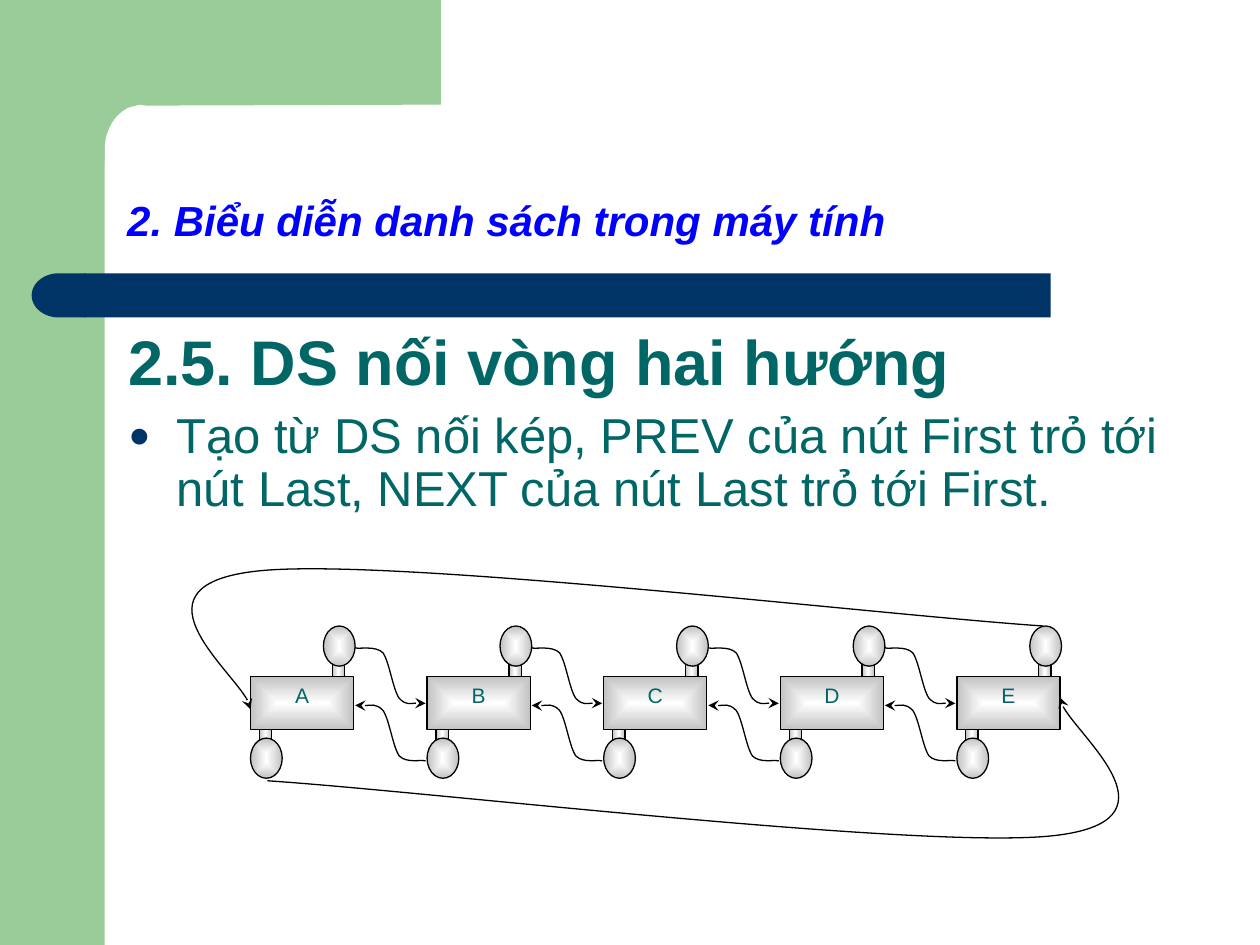
from lxml.etree import SubElement
from pptx import Presentation
from pptx.dml.color import RGBColor
from pptx.enum.shapes import MSO_SHAPE as Preset
from pptx.enum.text import MSO_ANCHOR as Anchor, MSO_AUTO_SIZE as AutoSize, PP_ALIGN as Align
from pptx.oxml import parse_xml
from pptx.oxml.ns import nsdecls, qn
from pptx.util import Cm, Pt

GREEN = RGBColor(0x99, 0xCC, 0x99)
NAVY = RGBColor(0x00, 0x33, 0x66)
BLUE = RGBColor(0x00, 0x00, 0xFF)
TEAL = RGBColor(0x00, 0x66, 0x66)
BLACK = RGBColor(0x00, 0x00, 0x00)
WHITE = RGBColor(0xFF, 0xFF, 0xFF)
SILVER = RGBColor(0xC2, 0xC2, 0xC2)

# Gradients: stops in percent, then the direction
CENTRE_GLOW = ([(0, WHITE), (100, SILVER)],
               '<a:path path="rect"><a:fillToRect l="50000" t="50000" r="50000" b="50000"/></a:path>')
TUBE_GLOW = ([(0, SILVER), (50, WHITE), (100, SILVER)], '<a:lin ang="0" scaled="1"/>')

# Linked list, in centimetres
NODES = "ABCDE"
FIRST_LEFT, PITCH = 5.05, 3.56
NODE_TOP, NODE_WIDTH, NODE_HEIGHT = 13.64, 2.08, 1.07
NODE_BOTTOM = NODE_TOP + NODE_HEIGHT
STEM_WIDTH, STEM_HEIGHT, STEM_INSET = 0.25, 0.33, 0.18
BALL_WIDTH, BALL_HEIGHT, BALL_OVERHANG = 0.64, 0.81, 0.03
NEXT_BALL_TOP, PREV_BALL_TOP = 12.62, 14.88
LINK_GAP, NEXT_LINK_TOP, PREV_LINK_TOP = 0.03, 13.06, 14.22

# Outlines: a start, then segments of one point (line) or three (Bézier curve)
LINK = [[(0.08, 0.03), (0.41, -0.05), (0.56, 0.1)],
        [(0.69, 0.28), (0.76, 0.84), (0.89, 1.02)],
        [(1.04, 1.17), (1.32, 1.09), (1.42, 1.12)]]
LOOP_START = (5.05, 14.3)
LOOP = [[(5.08, 13.84), (2.54, 11.79), (5.21, 11.51)],
        [(7.87, 11.23), (17.73, 12.4), (21.03, 12.62)]]
LOOP_CENTRE = (13.21, 14.18)
CORNER_START = (8.89, 0)
CORNER = [[(8.89, 2.11)], [(2.95, 2.13)], [(2.82, 2.11)], [(2.62, 2.16)],
          [(2.54, 2.18), (2.44, 2.26), (2.36, 2.34)],
          [(2.29, 2.41), (2.21, 2.54), (2.18, 2.64)],
          [(2.13, 2.74), (2.13, 2.84), (2.11, 2.95)],
          [(2.11, 3.25)], [(1.27, 3.25)], [(1.27, 0)]]


def fill_plain(part, color):
    part.shadow.inherit = False
    part.fill.solid()
    part.fill.fore_color.rgb = color
    part.line.fill.background()


def draw_line(part):
    part.line.color.rgb = BLACK
    part.line.width = Pt(0.75)


def add_plain(slide, preset, left, top, width, height, color):
    part = slide.shapes.add_shape(preset, Cm(left), Cm(top), Cm(width), Cm(height))
    fill_plain(part, color)
    return part


def add_glowing(slide, preset, left, top, width, height, glow):
    """Add an outlined shape with a gradient fill."""
    part = add_plain(slide, preset, left, top, width, height, SILVER)
    stops, direction = glow
    stop_xml = "".join(f'<a:gs pos="{percent * 1000}"><a:srgbClr val="{color}"/></a:gs>'
                       for percent, color in stops)
    gradient = parse_xml(f'<a:gradFill {nsdecls("a")} rotWithShape="1">'
                         f'<a:gsLst>{stop_xml}</a:gsLst>{direction}</a:gradFill>')
    properties = part._element.spPr
    properties.replace(properties.find(qn("a:solidFill")), gradient)
    draw_line(part)
    return part


def add_outline(slide, start, segments, close=False):
    """Add a freeform, turning its three-point segments into Bézier curves."""
    builder = slide.shapes.build_freeform(Cm(start[0]), Cm(start[1]))
    builder.add_line_segments([(Cm(x), Cm(y)) for segment in segments for x, y in segment],
                              close=close)
    outline = builder.convert_to_shape()
    steps = iter(list(outline._element.iter(qn("a:lnTo"))))
    for segment in segments:
        lines = [next(steps) for _ in segment]
        if len(lines) == 3:
            curve = parse_xml(f'<a:cubicBezTo {nsdecls("a")}/>')
            lines[0].addprevious(curve)
            for line in lines:
                curve.append(line.find(qn("a:pt")))
                line.getparent().remove(line)
    return outline


def add_arrow(slide, start, segments, arrow_end):
    """Add a curved arrow; arrow_end is headEnd (start) or tailEnd (finish)."""
    arrow = add_outline(slide, start, segments)
    arrow.shadow.inherit = False
    arrow.fill.background()
    draw_line(arrow)
    outline_xml = arrow._element.spPr.find(qn("a:ln"))
    SubElement(outline_xml, qn(f"a:{arrow_end}"), type="stealth")


def format_text(paragraph, size, color, bold=False, italic=False):
    for run in paragraph.runs:
        font = run.font
        font.name, font.size, font.bold, font.italic = "Arial", Pt(size), bold, italic
        font.color.rgb = color


def add_bullet(paragraph, indent):
    properties = paragraph._p.get_or_add_pPr()
    properties.set("marL", str(Cm(indent)))
    properties.set("indent", str(-Cm(indent)))
    bullet_color = SubElement(properties, qn("a:buClr"))
    SubElement(bullet_color, qn("a:srgbClr"), val=str(NAVY))
    SubElement(properties, qn("a:buSzPct"), val="75000")
    SubElement(properties, qn("a:buFont"), typeface="Arial")
    SubElement(properties, qn("a:buChar"), char="●")


def add_background(slide):
    # Green side panel with its rounded inner corner
    add_plain(slide, Preset.RECTANGLE, 0, 0, 2.11, 19.05, GREEN)
    corner = add_outline(slide, CORNER_START, CORNER, close=True)
    fill_plain(corner, GREEN)
    # Navy bar with a round left end
    add_plain(slide, Preset.RECTANGLE, 1.7, 5.51, 19.48, 0.89, NAVY)
    bar_end = add_plain(slide, Preset.FLOWCHART_DELAY, 0.64, 5.51, 1.09, 0.89, NAVY)
    bar_end._element.spPr.find(qn("a:xfrm")).set("flipH", "1")


def set_title(slide):
    title = slide.shapes.title
    title.left, title.top, title.width, title.height = Cm(2.31), Cm(2.31), Cm(21.62), Cm(2.77)
    frame = title.text_frame
    frame.text = "2. Biểu diễn danh sách trong máy tính"
    frame.vertical_anchor = Anchor.BOTTOM
    frame.auto_size = AutoSize.NONE
    heading = frame.paragraphs[0]
    heading.alignment = Align.LEFT
    heading.line_spacing = 0.9
    format_text(heading, 24, BLUE, bold=True, italic=True)


def add_body(slide):
    frame = slide.shapes.add_textbox(Cm(2.34), Cm(6.55), Cm(21.36), Cm(5.18)).text_frame
    frame.word_wrap = True
    section = frame.paragraphs[0]
    section.text = "2.5. DS nối vòng hai hướng"
    section.line_spacing = 0.9
    format_text(section, 36, TEAL, bold=True)

    explanation = frame.add_paragraph()
    explanation.text = ("Tạo từ DS nối kép, PREV của nút First trỏ tới nút Last, "
                        "NEXT của nút Last trỏ tới First.")
    add_bullet(explanation, 0.97)
    explanation.line_spacing = 0.9
    explanation.space_before = Pt(7)
    format_text(explanation, 28, TEAL)


def add_node(slide, left, letter):
    box = add_glowing(slide, Preset.RECTANGLE, left, NODE_TOP, NODE_WIDTH, NODE_HEIGHT, CENTRE_GLOW)
    frame = box.text_frame
    frame.text = letter
    frame.vertical_anchor = Anchor.TOP
    frame.paragraphs[0].alignment = Align.CENTER
    format_text(frame.paragraphs[0], 12, TEAL)

    # PREV pointer hangs below on the left, NEXT stands above on the right
    right = left + NODE_WIDTH
    stems = [(left + STEM_INSET, NODE_BOTTOM),
             (right - STEM_INSET - STEM_WIDTH, NODE_TOP - STEM_HEIGHT)]
    balls = [(left, PREV_BALL_TOP),
             (right + BALL_OVERHANG - BALL_WIDTH, NEXT_BALL_TOP)]
    for x, y in stems:
        add_glowing(slide, Preset.RECTANGLE, x, y, STEM_WIDTH, STEM_HEIGHT, TUBE_GLOW)
    for x, y in balls:
        add_glowing(slide, Preset.OVAL, x, y, BALL_WIDTH, BALL_HEIGHT, CENTRE_GLOW)


def add_links(slide, node_lefts):
    """Join each node to its right neighbour in both directions."""
    for top, arrow_end in ((NEXT_LINK_TOP, "tailEnd"), (PREV_LINK_TOP, "headEnd")):
        for left in node_lefts[:-1]:
            x = left + NODE_WIDTH + LINK_GAP
            link = [[(x + dx, top + dy) for dx, dy in segment] for segment in LINK]
            add_arrow(slide, (x, top), link, arrow_end)


def half_turn(point):
    return tuple(2 * centre - value for centre, value in zip(LOOP_CENTRE, point))


def add_loops(slide):
    """Join the last node to the first, and the first to the last by a half turn."""
    turned_loop = [[half_turn(point) for point in segment] for segment in LOOP]
    add_arrow(slide, LOOP_START, LOOP, "headEnd")
    add_arrow(slide, half_turn(LOOP_START), turned_loop, "headEnd")


def main():
    deck = Presentation()
    deck.slide_width, deck.slide_height = Cm(25.4), Cm(19.05)
    slide = deck.slides.add_slide(deck.slide_layouts[5])
    add_background(slide)
    set_title(slide)
    add_body(slide)
    node_lefts = [FIRST_LEFT + PITCH * i for i in range(len(NODES))]
    for left, letter in zip(node_lefts, NODES):
        add_node(slide, left, letter)
    add_links(slide, node_lefts)
    add_loops(slide)
    deck.save("out.pptx")


if __name__ == "__main__":
    main()
